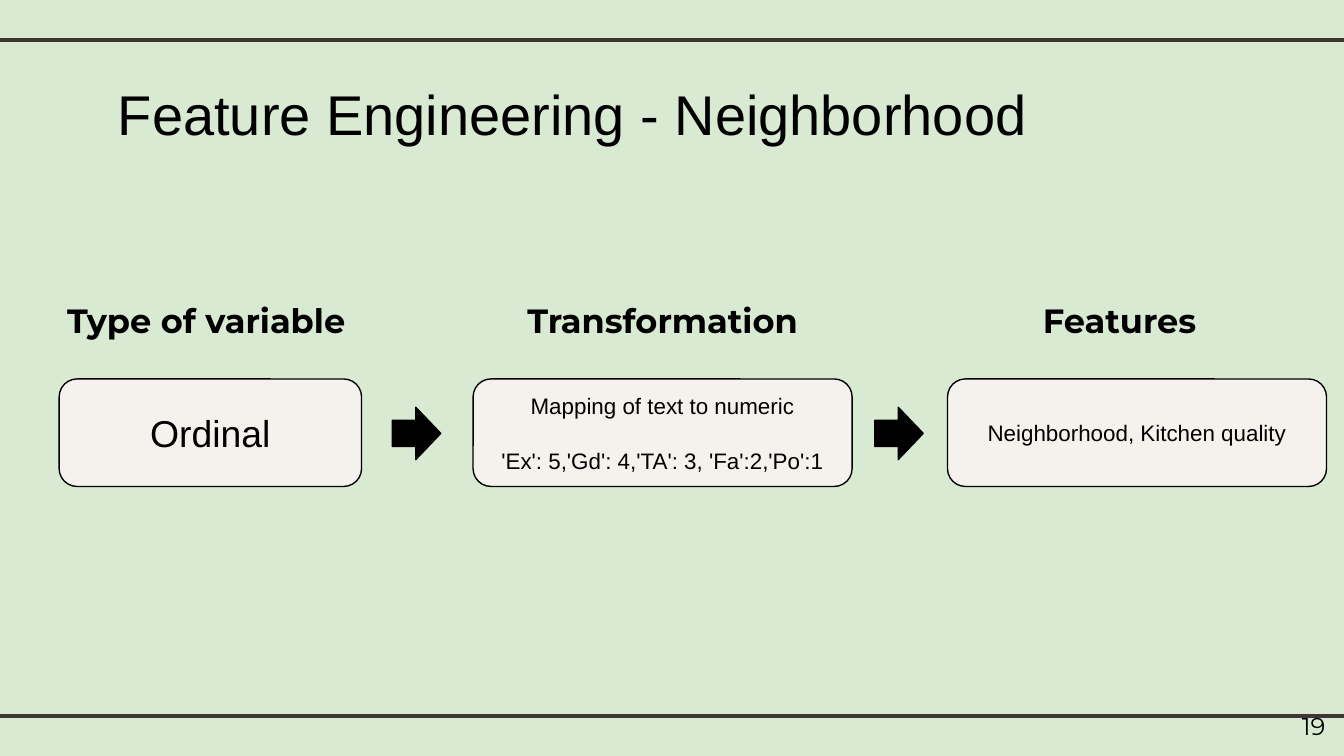
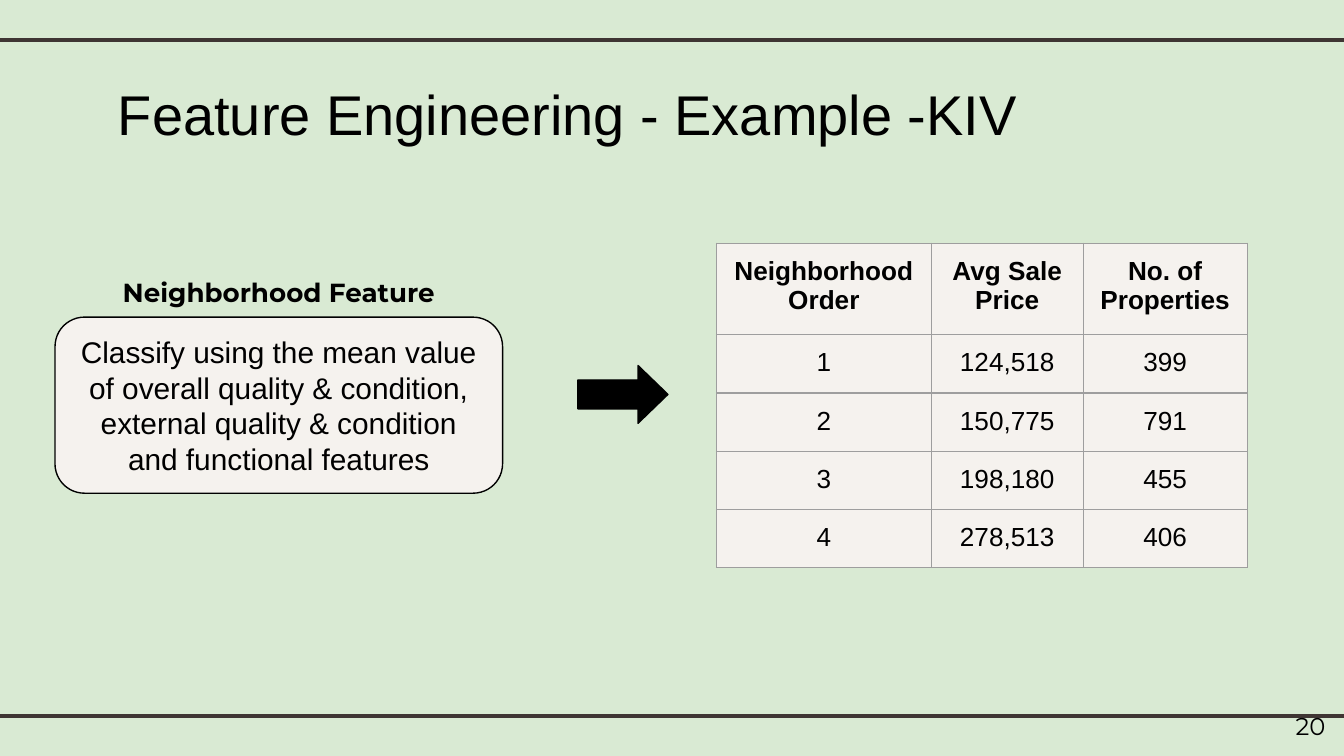
from lxml import etree
from pptx import Presentation
from pptx import util as u
from pptx.dml.color import RGBColor
from pptx.enum import shapes, text
from pptx.oxml import parse_xml
from pptx.oxml.ns import nsdecls, qn

GREEN = RGBColor(0xD9, 0xEA, 0xD3)
CREAM = RGBColor(0xF5, 0xF2, 0xEE)
BROWN = RGBColor(0x3F, 0x35, 0x33)
BLACK = RGBColor(0, 0, 0)
BORDER = "9E9E9E"
BODY, HEAD = "Arial", "Montserrat"
CENTER, LEFT, RIGHT = text.PP_ALIGN.CENTER, text.PP_ALIGN.LEFT, text.PP_ALIGN.RIGHT
ROUND, ARROW = shapes.MSO_SHAPE.ROUNDED_RECTANGLE, shapes.MSO_SHAPE.RIGHT_ARROW


def write(tf, words, size, font=BODY, bold=False, align=CENTER, gap=0):
    """Fill a text frame, with gap points between its paragraphs."""
    tf.word_wrap = True
    tf.margin_left = tf.margin_right = tf.margin_top = tf.margin_bottom = u.Inches(0.1)
    tf.text = words
    for i, p in enumerate(tf.paragraphs):
        p.alignment = align
        if i:
            p.space_before = u.Pt(gap)
        for r in p.runs:
            r.font.name, r.font.size, r.font.bold = font, u.Pt(size), bold
            r.font.color.rgb = BLACK


def add_block(s, kind, at, fill):
    """Add an outlined shape without shadow."""
    sp = s.shapes.add_shape(kind, *map(u.Inches, at))
    sp.shadow.inherit = False
    sp.fill.solid()
    sp.fill.fore_color.rgb = fill
    sp.line.color.rgb = BLACK
    sp.line.width = u.Pt(0.75)
    if kind == ARROW:
        sp.adjustments[1] = 0.517
    else:
        sp.text_frame.vertical_anchor = text.MSO_ANCHOR.MIDDLE
    return sp


prs = Presentation()
prs.slide_width, prs.slide_height = u.Inches(10), u.Inches(5.625)

# Background, rules, title and page number of every slide
titles = ["Feature Engineering - Neighborhood", "Feature Engineering - Example -KIV"]
for number, title in enumerate(titles, start=19):
    s = prs.slides.add_slide(prs.slide_layouts[6])
    s.background.fill.solid()
    s.background.fill.fore_color.rgb = GREEN
    for y in (0.3, 5.33):
        rule = s.shapes.add_connector(shapes.MSO_CONNECTOR.STRAIGHT, u.Inches(-0.08),
                                      u.Inches(y), u.Inches(10.08), u.Inches(y))
        rule.line.color.rgb = BROWN
        rule.line.width = u.Pt(2.25)
        etree.SubElement(rule._element.spPr, qn("a:effectLst"))
    box = s.shapes.add_textbox(*map(u.Inches, (0.78, 0.49, 8.44, 0.63)))
    write(box.text_frame, title, 30, align=LEFT)
    box = s.shapes.add_textbox(*map(u.Inches, (9.36, 5.19, 0.6, 0.43)))
    write(box.text_frame, str(number), 13, HEAD, align=RIGHT)

flow_slide, example_slide = prs.slides

# Flow from variable type to features: heading x, width; box x, width; text, size
steps = [
    ("Type of variable", 0.35, 2.37, 0.44, 2.25, "Ordinal", 20),
    ("Transformation", 3.52, 2.82, 3.52, 2.82,
     "Mapping of text to numeric\n'Ex': 5,'Gd': 4,'TA': 3, 'Fa':2,'Po':1", 12),
    ("Features", 6.92, 2.82, 7.05, 2.82, "Neighborhood, Kitchen quality", 12),
]
for heading, head_x, head_w, x, w, words, size in steps:
    box = flow_slide.shapes.add_textbox(*map(u.Inches, (head_x, 2.13, head_w, 0.5)))
    write(box.text_frame, heading, 18, HEAD, bold=True)
    sp = add_block(flow_slide, ROUND, (x, 2.82, w, 0.8), CREAM)
    write(sp.text_frame, words, size, gap=15)
for x in (2.92, 6.51):
    add_block(flow_slide, ARROW, (x, 3.03, 0.36, 0.39), BLACK)

# Example: the classification rule and the resulting table
box = example_slide.shapes.add_textbox(*map(u.Inches, (0.41, 1.96, 3.33, 0.44)))
write(box.text_frame, "Neighborhood Feature", 14, HEAD, bold=True)
sp = add_block(example_slide, ROUND, (0.41, 2.36, 3.33, 1.31), CREAM)
write(sp.text_frame, "Classify using the mean value of overall quality & condition, "
      "external quality & condition and functional features", 16)
add_block(example_slide, ARROW, (4.3, 2.72, 0.67, 0.43), BLACK)

rows = [
    ("Neighborhood Order", "Avg Sale Price", "No. of Properties"),
    ("1", "124,518", "399"),
    ("2", "150,775", "791"),
    ("3", "198,180", "455"),
    ("4", "278,513", "406"),
]
widths = (1.6, 1.13, 1.22)
heights = [0.68] + [0.43] * 4
table = example_slide.shapes.add_table(
    len(rows), len(widths), u.Inches(5.33), u.Inches(1.81),
    u.Inches(sum(widths)), u.Inches(sum(heights))).table
for column, w in zip(table.columns, widths):
    column.width = u.Inches(w)
for i, (values, h) in enumerate(zip(rows, heights)):
    table.rows[i].height = u.Inches(h)
    for j, value in enumerate(values):
        cell = table.cell(i, j)
        write(cell.text_frame, value, 14, bold=i == 0)
        cell.margin_left = cell.margin_right = u.Inches(0.1)
        cell.margin_top = cell.margin_bottom = u.Inches(0.1)
        cell.fill.solid()
        cell.fill.fore_color.rgb = CREAM
        tcPr = cell._tc.get_or_add_tcPr()
        for k, side in enumerate(("lnL", "lnR", "lnT", "lnB")):
            tcPr.insert(k, parse_xml(
                f'<a:{side} {nsdecls("a")} w="{u.Pt(0.75)}"><a:solidFill>'
                f'<a:srgbClr val="{BORDER}"/></a:solidFill></a:{side}>'))

prs.save("out.pptx")
